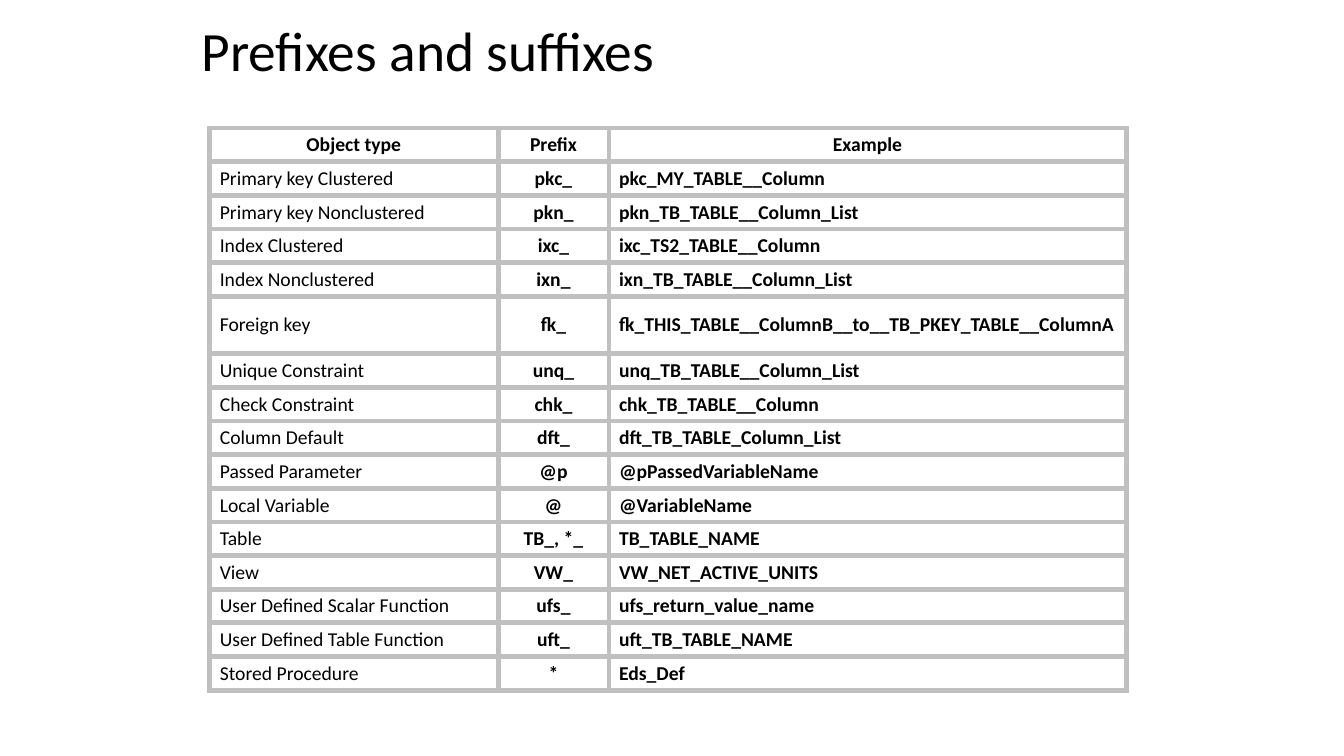
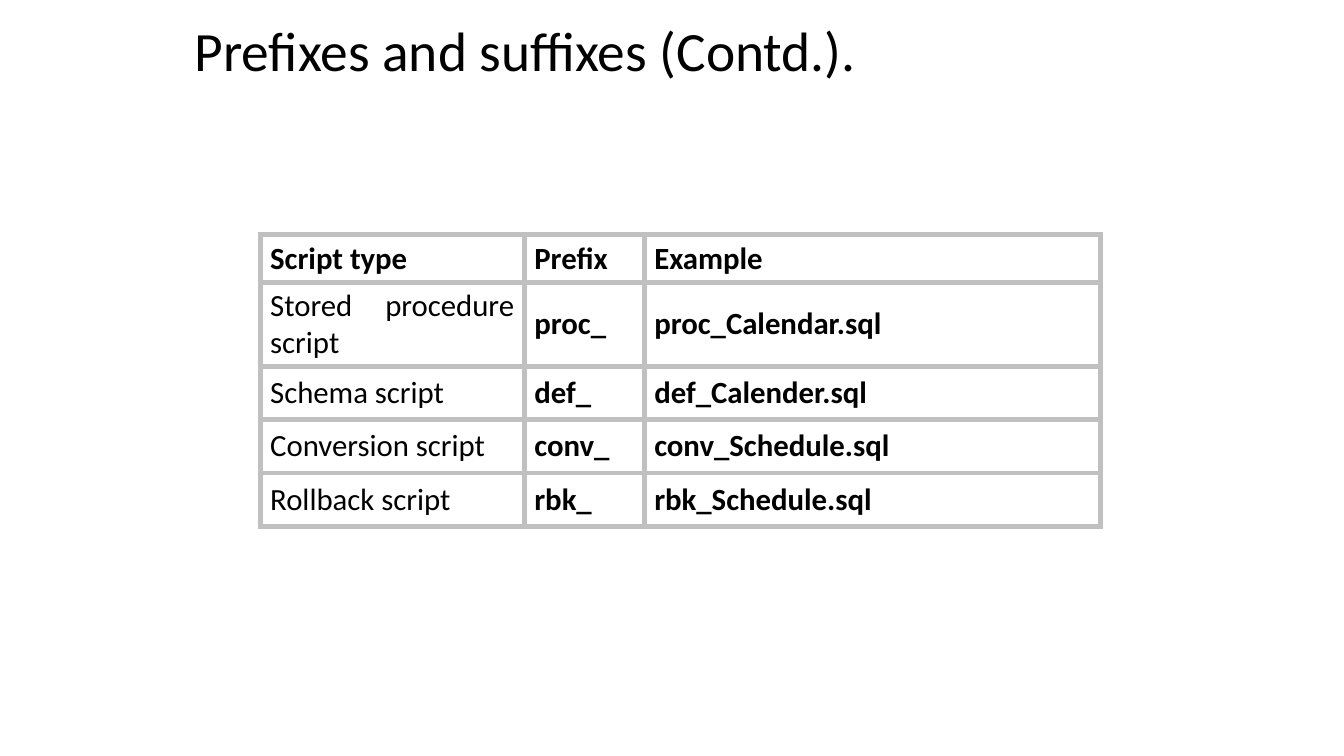
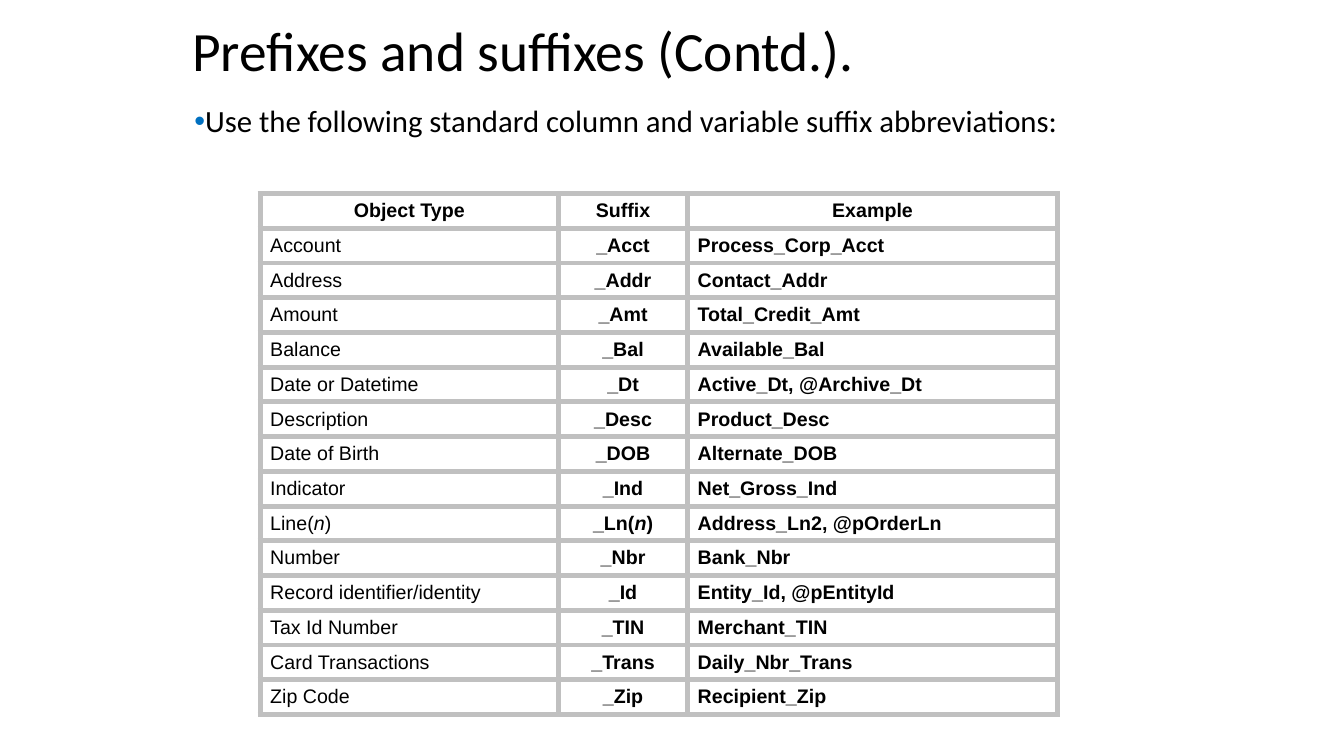
import pptx
import pptx.util
import pptx.dml.color
import pptx.enum.text
import pptx.oxml
import pptx.oxml.ns
from pptx.util import Inches

HEX = {"text": "000000", "grid": "C0C0C0", "bullet": "0070C0"}
ALIGN = pptx.enum.text.PP_ALIGN
MID = pptx.enum.text.MSO_ANCHOR.MIDDLE
LEFT, MIX, JUST = ALIGN.LEFT, (ALIGN.LEFT, ALIGN.CENTER, ALIGN.LEFT), (ALIGN.JUSTIFY,) * 3


def add_xml(parent, body):
    """Append one drawing element written as a:... markup."""
    tag, rest = body.split(" ", 1)
    space = pptx.oxml.ns.nsdecls("a")
    parent.append(pptx.oxml.parse_xml(f"<a:{tag} {space} {rest}"))


class Deck:
    def __init__(self):
        self.prs = pptx.Presentation()
        self.prs.slide_width = Inches(13.33)
        self.prs.slide_height = Inches(7.5)
        self.slide = None

    def page(self):
        self.slide = self.prs.slides.add_slide(self.prs.slide_layouts[6])

    def style(self, para, size, face="Calibri", bold=False):
        font = para.font
        font.size, font.name, font.bold = pptx.util.Pt(size), face, bold
        font.color.rgb = pptx.dml.color.RGBColor.from_string(HEX["text"])

    def text(self, words, box, size):
        frame = self.slide.shapes.add_textbox(*map(Inches, box)).text_frame
        frame.word_wrap = True
        para = frame.paragraphs[0]
        para.text = words
        para.line_spacing = 0.9
        return frame, para

    def title(self, words, left):
        frame, para = self.text(words, (left, 0.23, 8.27, 0.61), 39.6)
        frame.vertical_anchor = MID
        self.style(para, 39.6)

    def bullet(self, words, box):
        para = self.text(words, box, 22)[1]
        para.alignment = ALIGN.JUSTIFY
        props = para._p.get_or_add_pPr()
        props.set("marL", "0")
        props.set("indent", str(-Inches(0.25)))
        add_xml(props, f'buClr ><a:srgbClr val="{HEX["bullet"]}"/></a:buClr>')
        add_xml(props, 'buFont typeface="Arial"/>')
        add_xml(props, 'buChar char="•"/>')
        self.style(para, 22)

    def cell(self, cell, words, align, size, face, bold):
        cell.vertical_anchor = MID
        para = cell.text_frame.paragraphs[0]
        para.alignment = align
        self.style(para, size, face, bold)
        # Every second piece between bars is italic
        for i, piece in enumerate(words.split("|")):
            run = para.add_run()
            run.text = piece
            if i % 2:
                run.font.italic = True
        props = cell._tc.get_or_add_tcPr()
        for side in "LRTB":
            add_xml(props, f'ln{side} w="{pptx.util.Pt(4)}"><a:solidFill>'
                    f'<a:srgbClr val="{HEX["grid"]}"/></a:solidFill></a:ln{side}>')
        cell.fill.background()

    def table(self, rows, left, top, cols, highs, head, body, size, face="Calibri"):
        """head and body hold the alignment of each column."""
        grid = self.slide.shapes.add_table(
            len(rows), len(cols), Inches(left), Inches(top),
            Inches(sum(cols)), Inches(sum(highs))).table
        grid.first_row = grid.horz_banding = False
        for col, wide in zip(grid.columns, cols):
            col.width = Inches(wide)
        for r, (row, high) in enumerate(zip(rows, highs)):
            grid.rows[r].height = Inches(high)
            for c, words in enumerate(row):
                align = (body if r else head)[c]
                self.cell(grid.cell(r, c), words, align, size, face, r == 0 or c > 0)


OBJECTS = [
    ("Object type", "Prefix", "Example"),
    ("Primary key Clustered", "pkc_", "pkc_MY_TABLE__Column"),
    ("Primary key Nonclustered", "pkn_", "pkn_TB_TABLE__Column_List"),
    ("Index Clustered", "ixc_", "ixc_TS2_TABLE__Column"),
    ("Index Nonclustered", "ixn_", "ixn_TB_TABLE__Column_List"),
    ("Foreign key", "fk_", "fk_THIS_TABLE__ColumnB__to__TB_PKEY_TABLE__ColumnA"),
    ("Unique Constraint", "unq_", "unq_TB_TABLE__Column_List"),
    ("Check Constraint", "chk_", "chk_TB_TABLE__Column"),
    ("Column Default", "dft_", "dft_TB_TABLE_Column_List"),
    ("Passed Parameter", "@p", "@pPassedVariableName"),
    ("Local Variable", "@", "@VariableName"),
    ("Table", "TB_, *_", "TB_TABLE_NAME"),
    ("View", "VW_", "VW_NET_ACTIVE_UNITS"),
    ("User Defined Scalar Function", "ufs_", "ufs_return_value_name"),
    ("User Defined Table Function", "uft_", "uft_TB_TABLE_NAME"),
    ("Stored Procedure", "*", "Eds_Def"),
]
SCRIPTS = [
    ("Script type", "Prefix", "Example"),
    ("Stored procedure script", "proc_", "proc_Calendar.sql"),
    ("Schema script", "def_", "def_Calender.sql"),
    ("Conversion script", "conv_", "conv_Schedule.sql"),
    ("Rollback script", "rbk_", "rbk_Schedule.sql"),
]
ENDINGS = [
    ("Object Type", "Suffix", "Example"),
    ("Account", "_Acct", "Process_Corp_Acct"),
    ("Address", "_Addr", "Contact_Addr"),
    ("Amount", "_Amt", "Total_Credit_Amt"),
    ("Balance", "_Bal", "Available_Bal"),
    ("Date or Datetime", "_Dt", "Active_Dt, @Archive_Dt"),
    ("Description", "_Desc", "Product_Desc"),
    ("Date of Birth", "_DOB", "Alternate_DOB"),
    ("Indicator", "_Ind", "Net_Gross_Ind"),
    ("Line(|n|)", "_Ln(|n|)", "Address_Ln2, @pOrderLn"),
    ("Number", "_Nbr", "Bank_Nbr"),
    ("Record identifier/identity", "_Id", "Entity_Id, @pEntityId"),
    ("Tax Id Number", "_TIN", "Merchant_TIN"),
    ("Card Transactions", "_Trans", "Daily_Nbr_Trans"),
    ("Zip Code", "_Zip", "Recipient_Zip"),
]


def main():
    deck = Deck()
    mid = (ALIGN.CENTER,) * 3
    more = "Prefixes and suffixes (Contd.)."

    # Object prefixes, with a taller row for the foreign key
    deck.page()
    deck.title("Prefixes and suffixes", 1.9)
    highs = [0.57 if row[0] == "Foreign key" else 0.33 for row in OBJECTS]
    deck.table(OBJECTS, 2.08, 1.27, (2.86, 1.1, 5.13), highs, mid, MIX, 14)

    # Script prefixes
    deck.page()
    deck.title(more, 1.83)
    deck.table(SCRIPTS, 2.58, 2.33, (2.62, 1.19, 4.53),
               [0.47, 0.83] + [0.53] * 3, JUST, JUST, 22)

    # Column and variable suffixes
    deck.page()
    highs = [5.17 / len(ENDINGS)] * len(ENDINGS)
    deck.table(ENDINGS, 2.58, 1.92, (2.96, 1.28, 3.67), highs, mid, MIX, 14, "Arial")
    deck.bullet("Use the following standard column and variable suffix abbreviations:",
                (1.83, 1, 9.08, 6.17))
    deck.title(more, 1.81)

    deck.prs.save("out.pptx")


if __name__ == "__main__":
    main()
